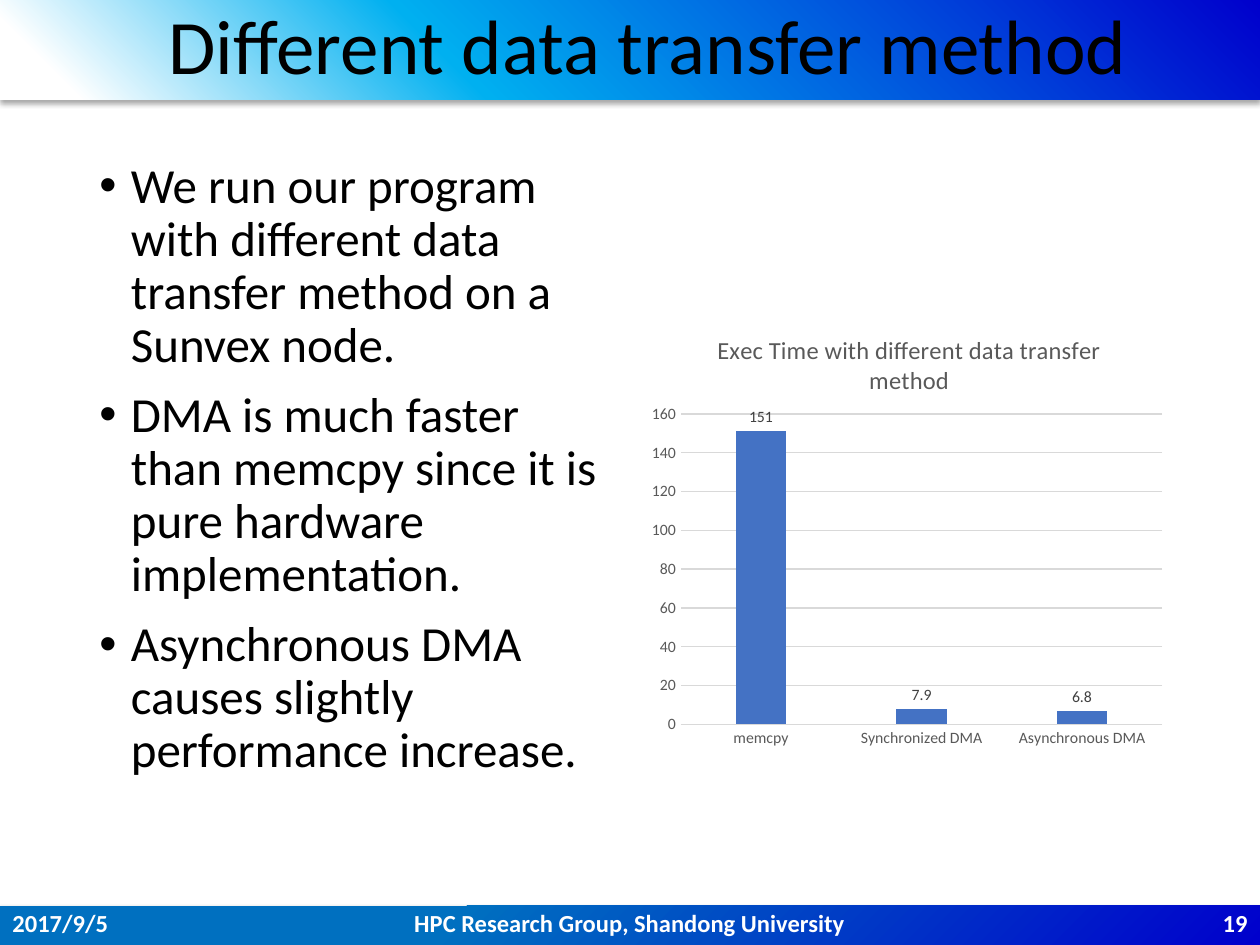
import pptx
import pptx.chart.data
import pptx.dml.color
import pptx.enum.chart
import pptx.enum.text
import pptx.oxml
import pptx.oxml.ns
import pptx.util
from dataclasses import dataclass

PX_PER_INCH = 126
ALIGN = pptx.enum.text.PP_ALIGN
ANCHOR = pptx.enum.text.MSO_ANCHOR


@dataclass(frozen=True)
class Theme:
    font: str = "Calibri"
    text: str = "000000"
    footer_text: str = "FFFFFF"
    chart_text: str = "595959"
    label_text: str = "404040"
    rule: str = "D9D9D9"
    column: str = "4472C4"
    header_stops: tuple = ((6, "FFFFFF"), (36, "00B0F0"), (100, "0000CC"))
    footer_stops: tuple = ((6, "0070C0"), (36, "0070C0"), (100, "0000CC"))
    title_size: int = 44
    body_size: int = 28
    footer_size: int = 14
    chart_title_size: int = 14
    chart_size: int = 10
    axis_size: int = 9


THEME = Theme()


def px(length):
    return pptx.util.Emu(round(length * 914400 / PX_PER_INCH))


def rgb(value):
    return pptx.dml.color.RGBColor.from_string(value)


def drawing_xml(markup):
    """Read a DrawingML or chart fragment, with namespaces on its root."""
    tag, rest = markup.split(">", 1)
    slash = "/" if tag.endswith("/") else ""
    return pptx.oxml.parse_xml(
        f"{tag.rstrip('/')} {pptx.oxml.ns.nsdecls('a', 'c')}{slash}>{rest}")


def format_font(font, size, color, bold=False):
    font.name = THEME.font
    font.size = pptx.util.Pt(size)
    font.bold = bold
    font.color.rgb = rgb(color)


def write_text(shape, text, size, color, bold=False, align=ALIGN.LEFT,
               anchor=ANCHOR.TOP, line_spacing=1.0, space_before=0, bullet=False):
    """Fill a shape with one paragraph for each line of text."""
    frame = shape.text_frame
    frame.word_wrap = True
    frame.auto_size = pptx.enum.text.MSO_AUTO_SIZE.NONE
    frame.vertical_anchor = anchor
    frame.text = text
    for index, paragraph in enumerate(frame.paragraphs):
        if bullet:
            properties = paragraph._p.get_or_add_pPr()
            properties.set("marL", str(pptx.util.Inches(0.25)))
            properties.set("indent", str(-pptx.util.Inches(0.25)))
            properties.append(drawing_xml('<a:buFont typeface="Arial"/>'))
            properties.append(drawing_xml('<a:buChar char="•"/>'))
        paragraph.alignment = align
        paragraph.line_spacing = line_spacing
        paragraph.space_before = pptx.util.Pt(space_before if index else 0)
        for run in paragraph.runs:
            format_font(run.font, size, color, bold)


def add_text(slide, left, top, width, height, text, **text_format):
    box = slide.shapes.add_textbox(px(left), px(top), px(width), px(height))
    write_text(box, text, **text_format)


def add_gradient_bar(slide, left, top, width, height, stops, angle):
    """Add a shadowed gradient band behind the title."""
    bar = slide.shapes.add_shape(pptx.enum.shapes.MSO_SHAPE.RECTANGLE,
                                 px(left), px(top), px(width), px(height))
    bar.line.fill.background()
    bar.shadow.inherit = False
    stop_list = "".join(
        f'<a:gs pos="{position * 1000}"><a:srgbClr val="{color}"/></a:gs>'
        for position, color in stops)
    properties = bar.element.spPr
    properties.find(pptx.oxml.ns.qn("a:ln")).addprevious(drawing_xml(
        f'<a:gradFill rotWithShape="1"><a:gsLst>{stop_list}</a:gsLst>'
        f'<a:lin ang="{angle * 60000}" scaled="0"/></a:gradFill>'))
    properties.find(pptx.oxml.ns.qn("a:effectLst")).append(drawing_xml(
        '<a:outerShdw blurRad="38100" dist="22860" dir="5400000" rotWithShape="0">'
        '<a:srgbClr val="000000"><a:alpha val="35000"/></a:srgbClr></a:outerShdw>'))
    slide.shapes.title.element.addprevious(bar.element)


def chart_layout(target="", **fractions):
    values = "".join(f'<c:{name} val="{value}"/>' for name, value in fractions.items())
    return drawing_xml(
        f'<c:layout><c:manualLayout>{target}<c:xMode val="edge"/>'
        f'<c:yMode val="edge"/>{values}</c:manualLayout></c:layout>')


def set_layout(parent, layout, before):
    for old in parent.findall(pptx.oxml.ns.qn("c:layout")):
        parent.remove(old)
    parent.find(pptx.oxml.ns.qn(before)).addprevious(layout)


def format_line(line):
    line.color.rgb = rgb(THEME.rule)
    line.width = pptx.util.Pt(0.75)


def add_time_chart(slide, left, top, width, height):
    data = pptx.chart.data.CategoryChartData()
    data.categories = ["memcpy", "Synchronized DMA", "Asynchronous DMA"]
    data.add_series("Series 1", (151, 7.9, 6.8))
    chart = slide.shapes.add_chart(
        pptx.enum.chart.XL_CHART_TYPE.COLUMN_CLUSTERED,
        px(left), px(top), px(width), px(height), data).chart
    format_font(chart.font, THEME.chart_size, THEME.text)
    chart.has_legend = False

    # Title and plot area
    chart.has_title = True
    title = chart.chart_title
    title.text_frame.text = "Exec Time with different data transfer method"
    format_font(title.text_frame.paragraphs[0].runs[0].font,
                THEME.chart_title_size, THEME.chart_text)
    title.include_in_layout = False
    set_layout(title._element, chart_layout(x=0.14, y=0.05), "c:overlay")
    plot_area = chart._chartSpace.chart.plotArea
    set_layout(plot_area, chart_layout('<c:layoutTarget val="inner"/>',
                                       x=0.08, y=0.24, w=0.9, h=0.69), "c:barChart")

    # Axes
    category_axis, value_axis = chart.category_axis, chart.value_axis
    for axis in (category_axis, value_axis):
        axis.major_tick_mark = pptx.enum.chart.XL_TICK_MARK.NONE
        axis.minor_tick_mark = pptx.enum.chart.XL_TICK_MARK.NONE
        format_font(axis.tick_labels.font, THEME.axis_size, THEME.chart_text)
    format_line(category_axis.format.line)
    value_axis.format.line.fill.background()
    value_axis.minimum_scale, value_axis.maximum_scale = 0, 160
    value_axis.major_unit = 20
    value_axis.has_major_gridlines = True
    format_line(value_axis.major_gridlines.format.line)

    # Columns and their values
    plot = chart.plots[0]
    plot.gap_width, plot.overlap = 219, -27
    plot.vary_by_categories = False
    series = plot.series[0]
    series.format.fill.solid()
    series.format.fill.fore_color.rgb = rgb(THEME.column)
    labels = series.data_labels
    labels.show_value = True
    labels.position = pptx.enum.chart.XL_LABEL_POSITION.OUTSIDE_END
    format_font(labels.font, THEME.axis_size, THEME.label_text)


def main():
    presentation = pptx.Presentation()
    presentation.slide_width = px(1260)
    presentation.slide_height = px(945)
    slide = presentation.slides.add_slide(presentation.slide_layouts[5])

    # Header and footer bands
    add_gradient_bar(slide, 0, 0, 1260, 100, THEME.header_stops, 315)
    add_gradient_bar(slide, -2, 906, 1262, 39, THEME.footer_stops, 45)

    # Title
    title = slide.shapes.title
    title.left, title.top, title.width, title.height = map(px, (156, 0, 1086, 100))
    write_text(title, "Different data transfer method", size=THEME.title_size,
               color=THEME.text, anchor=ANCHOR.MIDDLE, line_spacing=0.9)

    # Findings and chart
    findings = (
        "We run our program with different data transfer method on a Sunvex node.",
        "DMA is much faster than memcpy since it is pure hardware implementation.",
        "Asynchronous DMA causes slightly performance increase.",
    )
    add_text(slide, 87, 155, 535, 730, "\n".join(findings), size=THEME.body_size,
             color=THEME.text, line_spacing=0.9, space_before=10, bullet=True)
    add_time_chart(slide, 638, 306, 535, 450)

    # Footer: date, group, slide number
    for left, width, text, align in (
            (0, 284, "2017/9/5", ALIGN.LEFT),
            (399, 461, "HPC Research Group, Shandong University", ALIGN.CENTER),
            (976, 284, "19", ALIGN.RIGHT)):
        add_text(slide, left, 898, width, 50, text, size=THEME.footer_size,
                 color=THEME.footer_text, bold=True, align=align, anchor=ANCHOR.MIDDLE)

    presentation.save("out.pptx")


if __name__ == "__main__":
    main()
